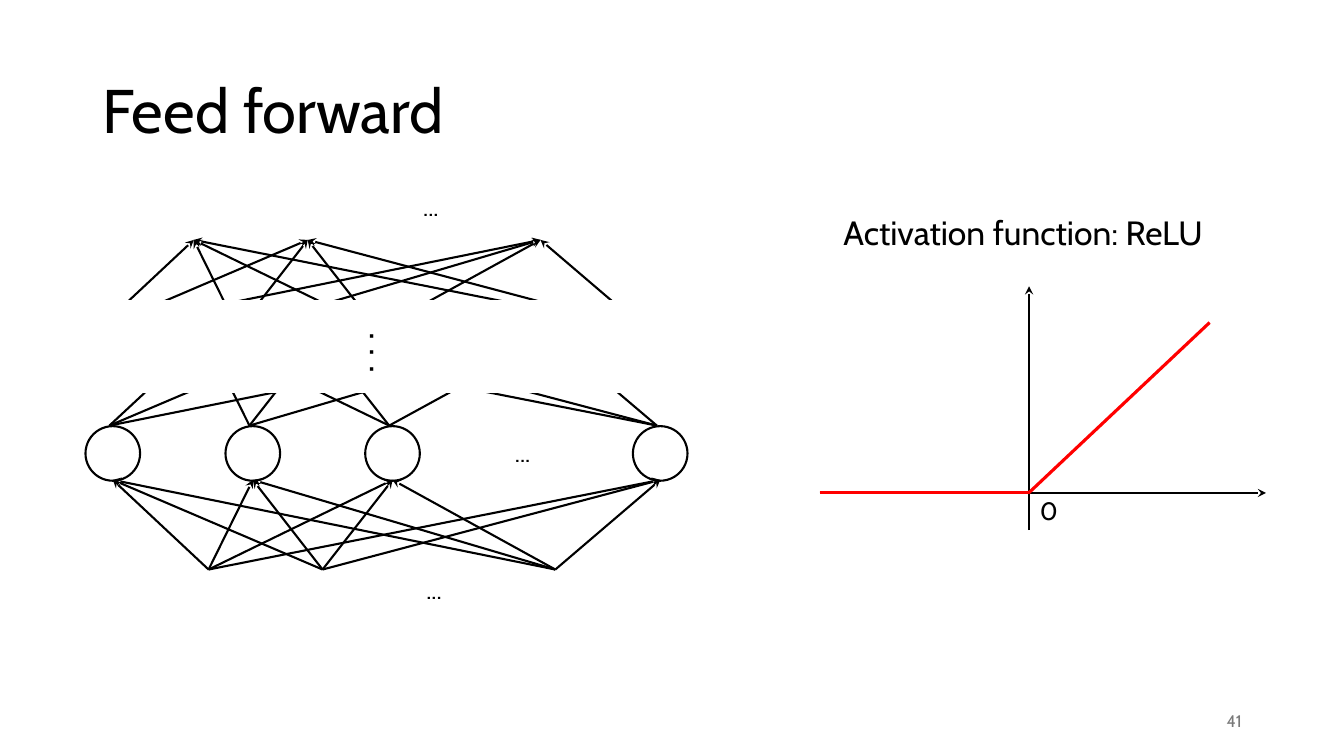
import dataclasses
import itertools
import typing

import lxml.etree
import pptx
import pptx.dml.color
import pptx.enum.shapes
import pptx.enum.text
import pptx.oxml.ns
import pptx.util

Pt = pptx.util.Pt
Shapes = pptx.enum.shapes.MSO_SHAPE
Anchor = pptx.enum.text.MSO_ANCHOR
Align = pptx.enum.text.PP_ALIGN
AutoSize = pptx.enum.text.MSO_AUTO_SIZE

COLORS = {"ink": "000000", "paper": "FFFFFF", "curve": "FF0000", "number": "797979"}
FONT_NAME = "Cabin"
NEURON_CENTERS = (80.6, 180.6, 280.4, 471.6)
PORT_CENTERS = (149, 230.4, 396.7)
NEURON_SIZE = 39
NEURON_TOP = 304.4
GROWING = {"word_wrap": False, "auto_size": AutoSize.SHAPE_TO_FIT_TEXT}
FIXED = {"word_wrap": True, "auto_size": AutoSize.NONE, "vertical_anchor": Anchor.MIDDLE}


@dataclasses.dataclass(frozen=True)
class Box:
    left: float
    top: float
    width: float
    height: float


@dataclasses.dataclass(frozen=True)
class Label:
    text: str
    box: Box
    size: float = 18
    color: str = "ink"
    rotation: float = 0
    align: typing.Any = Align.LEFT
    frame: dict = dataclasses.field(default_factory=lambda: GROWING)


@dataclasses.dataclass(frozen=True)
class Line:
    start: tuple
    end: tuple
    color: str = "ink"
    width: float = 1.5
    arrow: bool = True


@dataclasses.dataclass(frozen=True)
class Fan:
    shift: float
    neuron_y: float
    port_y: float


HIDDEN_FAN = Fan(-2.4, 304, 240.4)
INPUT_FAN = Fan(0, 342.8, 406.8)
OUTPUT_FAN = Fan(-10.6, 235.4, 171.4)

TITLE = Label("Feed forward", Box(66, 28.8, 828, 104.4), 44, frame=FIXED)
LABELS = (
    Label("...", Box(297.4, 406.8, 30.2, 29)),
    Label("...", Box(360.7, 308.9, 30.2, 29)),
    Label("...", Box(295.2, 133.2, 30.2, 29)),
    Label(". . .", Box(230.4, 228.2, 50.4, 41), 28, rotation=270),
    Label("0", Box(735.8, 349.9, 24.5, 29)),
    Label("Activation function: ReLU", Box(595.4, 147.6, 278.6, 36), 24),
    Label("41", Box(678.2, 500.4, 216, 28.8), 12, "number", align=Align.RIGHT, frame=FIXED),
)
PLOT_LINES = (
    Line((585.4, 352.1), (904.3, 352.1)),
    Line((735.1, 378.7), (735.1, 204.5)),
    Line((585.4, 352.1), (735.1, 352.1), "curve", 2.25, False),
    Line((734.8, 352.1), (864, 230.4), "curve", 2.25, False),
)


def rgb(name: str) -> pptx.dml.color.RGBColor:
    return pptx.dml.color.RGBColor.from_string(COLORS[name])


def apply(target: typing.Any, values: dict) -> None:
    for name, value in values.items():
        setattr(target, name, value)


def place(box: Box) -> dict:
    return {name: Pt(value) for name, value in dataclasses.asdict(box).items()}


def write_label(shape: typing.Any, label: Label) -> None:
    apply(shape, place(label.box) | {"rotation": label.rotation})
    shape.text_frame.text = label.text
    apply(shape.text_frame, label.frame)
    paragraph = shape.text_frame.paragraphs[0]
    paragraph.alignment = label.align
    apply(paragraph.runs[0].font, {"name": FONT_NAME, "size": Pt(label.size)})
    paragraph.runs[0].font.color.rgb = rgb(label.color)


def draw_label(slide: typing.Any, label: Label) -> None:
    write_label(slide.shapes.add_textbox(**place(label.box)), label)


def draw_line(slide: typing.Any, line: Line) -> None:
    connector = slide.shapes.add_connector(
        pptx.enum.shapes.MSO_CONNECTOR.STRAIGHT,
        *(Pt(value) for value in line.start + line.end),
    )
    connector.line.color.rgb = rgb(line.color)
    connector.line.width = Pt(line.width)
    properties = connector.element.spPr
    if line.arrow:
        outline = properties.find(pptx.oxml.ns.qn("a:ln"))
        lxml.etree.SubElement(outline, pptx.oxml.ns.qn("a:tailEnd"), type="stealth")
    lxml.etree.SubElement(properties, pptx.oxml.ns.qn("a:effectLst"))


def draw_fan(slide: typing.Any, fan: Fan) -> None:
    for neuron, port in itertools.product(NEURON_CENTERS, PORT_CENTERS):
        ends = ((neuron + fan.shift, fan.neuron_y), (port + fan.shift, fan.port_y))
        upper, lower = sorted(ends, key=lambda point: point[1])
        draw_line(slide, Line(lower, upper))


def draw_shape(slide: typing.Any, kind: typing.Any, box: Box, outline: str) -> None:
    shape = slide.shapes.add_shape(kind, **{f"{name}": value for name, value in place(box).items()})
    shape.shadow.inherit = False
    shape.fill.solid()
    shape.fill.fore_color.rgb = rgb("paper")
    shape.line.color.rgb = rgb(outline)
    shape.line.width = Pt(1.5)


def draw_network(slide: typing.Any) -> None:
    draw_fan(slide, HIDDEN_FAN)
    for center in NEURON_CENTERS:
        box = Box(center - NEURON_SIZE / 2, NEURON_TOP, NEURON_SIZE, NEURON_SIZE)
        draw_shape(slide, Shapes.OVAL, box, "ink")
    draw_fan(slide, INPUT_FAN)
    draw_fan(slide, OUTPUT_FAN)
    draw_shape(slide, Shapes.RECTANGLE, Box(46, 215.4, 435.6, 64.8), "paper")


def main() -> None:
    presentation = pptx.Presentation()
    apply(presentation, {"slide_width": Pt(960), "slide_height": Pt(540)})
    slide = presentation.slides.add_slide(presentation.slide_layouts[5])
    write_label(slide.shapes.title, TITLE)
    slide.shapes.title.text_frame.paragraphs[0].line_spacing = 0.9
    draw_network(slide)
    for line in PLOT_LINES:
        draw_line(slide, line)
    for label in LABELS:
        draw_label(slide, label)
    presentation.save("out.pptx")


if __name__ == "__main__":
    main()
